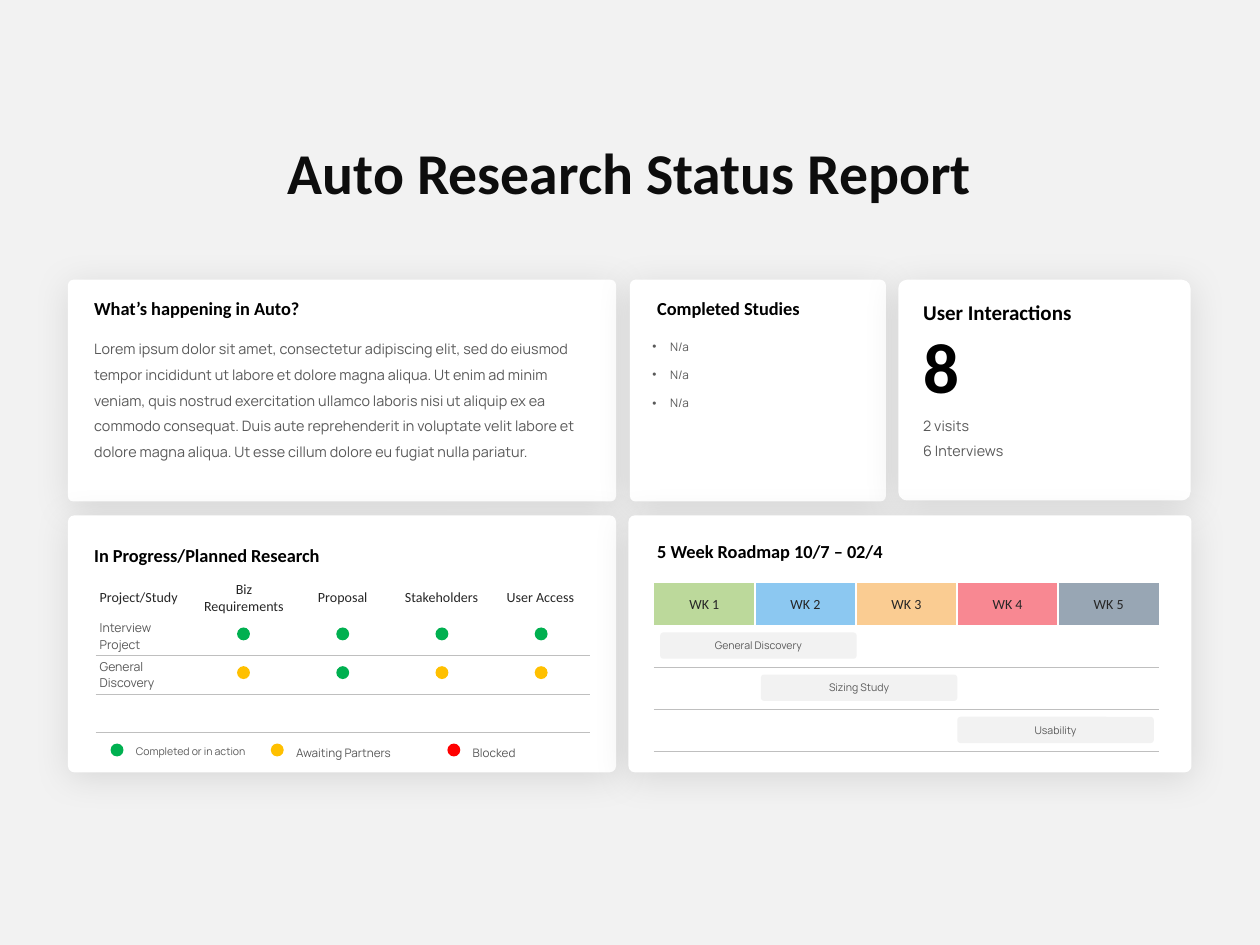
"""Build the Auto research status report slide."""
from dataclasses import dataclass

from lxml.etree import SubElement as Sub
from pptx import Presentation
from pptx.dml.color import RGBColor as Rgb
from pptx.enum.shapes import MSO_SHAPE as Kind
from pptx.enum.text import MSO_ANCHOR as Anchor
from pptx.enum.text import MSO_AUTO_SIZE as Fit
from pptx.enum.text import PP_ALIGN as Align
from pptx.oxml.ns import qn
from pptx.util import Cm, Pt

HUES = {
    "page": "F2F2F2", "card": "FFFFFF", "title": "0D0D0D", "head": "000000",
    "label": "262626", "body": "595959", "rule": "BFBFBF",
    "done": "00B050", "wait": "FFC000", "block": "FF0000",
    "wk1": "BCD99B", "wk2": "8CC8F1", "wk3": "FACC92", "wk4": "F88892",
    "wk5": "98A6B4",
}
DOT = 0.26
PLAIN = "{2D5ABB26-0587-4C30-8999-92F81FD0307C}"
LOREM = (
    "Lorem ipsum dolor sit amet, consectetur adipiscing elit, sed do eiusmod "
    "tempor incididunt ut labore et dolore magna aliqua. Ut enim ad minim "
    "veniam, quis nostrud exercitation ullamco laboris nisi ut aliquip ex ea "
    "commodo consequat. Duis aute reprehenderit in voluptate velit labore et "
    "dolore magna aliqua. Ut esse cillum dolore eu fugiat nulla pariatur."
)


@dataclass(frozen=True)
class Box:
    left: float
    top: float
    width: float
    height: float

    def sides(self) -> tuple:
        return Cm(self.left), Cm(self.top), Cm(self.width), Cm(self.height)


@dataclass(frozen=True)
class Style:
    size: float
    hue: str = "body"
    font: str = "Manrope"
    bold: bool = False
    space: float = 1.0
    align: Align = Align.LEFT


HEAD = Style(10.5, "head", "Calibri", True)
BODY = Style(8.25, space=1.5)
LABEL = Style(8, "label", "Calibri")
MID = Style(8, "label", "Calibri", align=Align.CENTER)


@dataclass(frozen=True)
class Note:
    box: Box
    text: str
    style: Style = HEAD


@dataclass(frozen=True)
class Key:
    left: float
    hue: str
    text: str
    size: float
    width: float


CARDS = (
    (Box(1.37, 5.64, 11.05, 4.47), 0.025),
    (Box(12.7, 5.64, 5.16, 4.47), 0.025),
    (Box(18.11, 5.64, 5.89, 4.45), 0.039),
    (Box(1.37, 10.39, 11.05, 5.18), 0.025),
    (Box(12.67, 10.39, 11.35, 5.18), 0.025),
)
NOTES = (
    Note(Box(1.65, 5.87, 5.79, 0.71), "What’s happening in Auto?"),
    Note(Box(13, 5.87, 4.47, 0.71), "Completed Studies"),
    Note(Box(1.65, 10.85, 9.98, 0.71), "In Progress/Planned Research"),
    Note(Box(13, 10.77, 5.56, 0.71), "5 Week Roadmap 10/7 – 02/4"),
    Note(Box(18.36, 5.92, 5.28, 0.76), "User Interactions",
         Style(12, "head", "Calibri", True)),
    Note(Box(18.36, 6.38, 5.28, 1.98), "8",
         Style(40.5, "head", "Calibri", True)),
    Note(Box(18.36, 8.1, 5.38, 1.27), "2 visits\n6 Interviews", BODY),
    Note(Box(1.65, 6.55, 10.46, 3.38), LOREM, BODY),
)
STUDIES = Note(Box(12.9, 6.43, 4.11, 1.9), "N/a\nN/a\nN/a",
               Style(6.75, space=2))
STATES = (("done",) * 4, ("wait", "done", "wait", "wait"))
KEYS = (
    Key(2.23, "done", "Completed or in action", 6, 3.23),
    Key(5.46, "wait", "Awaiting Partners", 6.75, 3.76),
    Key(9.02, "block", "Blocked", 6.75, 2.59),
)
BARS = ((13.31, "General Discovery"), (15.34, "Sizing Study"),
        (19.3, "Usability"))
TASKS = (
    ("Project/Study", "Biz Requirements", "Proposal", "Stakeholders",
     "User Access"),
    ("Interview Project", "", "", "", ""),
    ("General Discovery", "", "", "", ""),
    ("",) * 5,
)
WEEKS = (tuple(f"WK {n}" for n in range(1, 6)),) + (("",) * 5,) * 3


def tint(hue: str) -> Rgb:
    return Rgb.from_string(HUES[hue])


def write(frame, text: str, style: Style) -> None:
    frame.text = text
    for para in frame.paragraphs:
        para.alignment = style.align
        para.line_spacing = style.space
        for run in para.runs:
            run.font.size = Pt(style.size)
            run.font.name = style.font
            run.font.bold = style.bold
            run.font.color.rgb = tint(style.hue)


def add_note(slide, note: Note):
    frame = slide.shapes.add_textbox(*note.box.sides()).text_frame
    frame.word_wrap = True
    frame.auto_size = Fit.SHAPE_TO_FIT_TEXT
    write(frame, note.text, note.style)
    return frame


def add_form(slide, kind: Kind, box: Box, hue: str):
    form = slide.shapes.add_shape(kind, *box.sides())
    form.shadow.inherit = False
    form.fill.solid()
    form.fill.fore_color.rgb = tint(hue)
    form.line.fill.background()
    return form


def add_card(slide, box: Box, curve: float) -> None:
    card = add_form(slide, Kind.ROUNDED_RECTANGLE, box, "card")
    card.adjustments[0] = curve
    glow = card._element.spPr.find(qn("a:effectLst"))
    shade = Sub(glow, qn("a:outerShdw"), blurRad=str(Pt(21)), dist=str(Pt(3)),
                dir="5400000", algn="t", rotWithShape="0")
    ink = Sub(shade, qn("a:srgbClr"), val=HUES["head"])
    Sub(ink, qn("a:alpha"), val="11000")


def add_bar(slide, box: Box, text: str) -> None:
    bar = add_form(slide, Kind.ROUNDED_RECTANGLE, box, "page")
    bar.adjustments[0] = 0.12
    bar.text_frame.vertical_anchor = Anchor.MIDDLE
    write(bar.text_frame, text, Style(6, align=Align.CENTER))


def add_edge(cell, side: str, hue: str, width: float) -> None:
    edge = Sub(cell._tc.get_or_add_tcPr(), qn(f"a:{side}"), w=str(Pt(width)))
    Sub(Sub(edge, qn("a:solidFill")), qn("a:srgbClr"), val=HUES[hue])


def add_grid(slide, box: Box, rows: tuple, first: Style, fills: tuple) -> None:
    grid = slide.shapes.add_table(len(rows), len(rows[0]), *box.sides()).table
    grid._tbl.tblPr.find(qn("a:tableStyleId")).text = PLAIN
    grid.horz_banding = False
    grid.first_row = False
    for r, row in enumerate(rows):
        for c, text in enumerate(row):
            cell = grid.cell(r, c)
            cell.margin_left = cell.margin_right = Cm(0.08)
            cell.margin_top = cell.margin_bottom = Cm(0.05)
            cell.vertical_anchor = Anchor.MIDDLE
            if text:
                head = MID if c else first
                write(cell.text_frame, text, Style(7) if r else head)
            else:
                end = cell.text_frame.paragraphs[0]._p
                Sub(end, qn("a:endParaRPr"), sz="700")
            if r:
                add_edge(cell, "lnB", "rule", 0.25)
            else:
                add_edge(cell, "lnR", "card", 1)
            cell.fill.solid()
            cell.fill.fore_color.rgb = tint("card" if r else fills[c])


def main() -> None:
    deck = Presentation()
    deck.slide_width, deck.slide_height = Cm(25.4), Cm(19.05)
    slide = deck.slides.add_slide(deck.slide_layouts[5])
    slide.background.fill.solid()
    slide.background.fill.fore_color.rgb = tint("page")

    title = slide.shapes.title
    title.left, title.top, title.width, title.height = Box(
        5.33, 2.62, 14.73, 1.68).sides()
    frame = title.text_frame
    frame.word_wrap = False
    frame.auto_size = Fit.SHAPE_TO_FIT_TEXT
    frame.vertical_anchor = Anchor.TOP
    write(frame, "Auto Research Status Report",
          Style(33, "title", "Calibri", True, align=Align.CENTER))

    for box, curve in CARDS:
        add_card(slide, box, curve)
    for note in NOTES:
        add_note(slide, note)
    for para in add_note(slide, STUDIES).paragraphs:
        props = para._p.get_or_add_pPr()
        props.set("marL", str(Cm(0.36)))
        props.set("indent", str(-Cm(0.36)))
        Sub(props, qn("a:buFont"), typeface="Arial")
        Sub(props, qn("a:buChar"), char="•")

    add_grid(slide, Box(1.93, 11.66, 9.96, 3.1), TASKS, LABEL, ("card",) * 5)
    add_grid(slide, Box(13.18, 11.76, 10.19, 3.38), WEEKS, MID,
             tuple(f"wk{n}" for n in range(1, 6)))
    for r, row in enumerate(STATES):
        for c, state in enumerate(row):
            spot = Box(4.78 + 2 * c, 12.65 + 0.78 * r, DOT, DOT)
            add_form(slide, Kind.OVAL, spot, state)
    for key in KEYS:
        add_form(slide, Kind.OVAL, Box(key.left, 14.99, DOT, DOT), key.hue)
        add_note(slide, Note(Box(key.left + DOT, 14.76, key.width, 0.66),
                             key.text, Style(key.size, space=1.5)))
    for n, (left, text) in enumerate(BARS):
        add_bar(slide, Box(left, 12.75 + 0.85 * n, 3.96, 0.53), text)
    deck.save("out.pptx")


if __name__ == "__main__":
    main()
